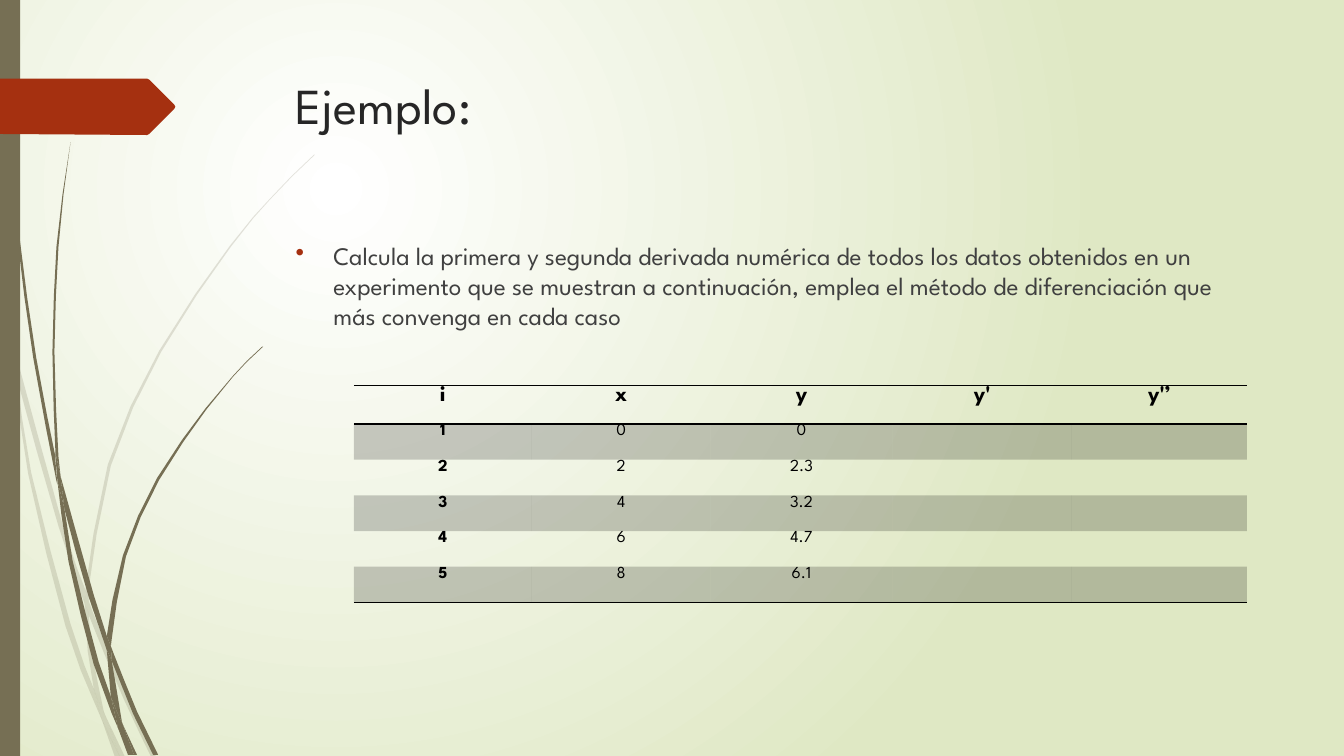
from dataclasses import dataclass
from math import dist

from lxml import etree
from pptx import Presentation
from pptx.dml.color import RGBColor
from pptx.enum.shapes import MSO_SHAPE
from pptx.enum.text import MSO_ANCHOR, PP_ALIGN
from pptx.oxml.ns import qn
from pptx.util import Pt

RECTANGLE = MSO_SHAPE.RECTANGLE
TOP = MSO_ANCHOR.TOP
LEFT, CENTER = PP_ALIGN.LEFT, PP_ALIGN.CENTER


@dataclass(frozen=True)
class Theme:
    font: str = "League Spartan"
    title_size: float = 36
    body_size: float = 18
    header_size: float = 16
    cell_size: float = 12
    title: str = "262626"
    body: str = "404040"
    ink: str = "000000"
    stalk: str = "766F54"
    accent: str = "A53010"
    glow: str = "FFFFFF"
    backdrop: str = "DFE8C4"
    tint: int = 20


THEME = Theme()
SLIDE_WIDTH, SLIDE_HEIGHT = 960, 540
GRID = 0.72  # points per unit of the outlines below
LONG_SPAN = 60  # units; longer spans get a midpoint on the curve

# Each piece of grass has an edge going out and an edge coming back.
FAINT_GRASS = [
    ([(11, 350), (9, 322), (0, 282)], [(0, 299), (10, 344)]),
    ([(14, 345), (17, 376), (58, 522), (84, 599)], [(85, 586), (62, 520), (14, 345)]),
    ([(88, 596), (88, 610), (123, 694), (150, 751)], [(155, 751), (127, 692), (92, 607)]),
    ([(119, 751), (124, 751)], [(105, 711)]),
    ([(93, 683), (70, 619), (31, 469), (17, 376), (11, 350)],
     [(11, 350), (28, 470), (65, 621), (92, 693), (101, 714), (99, 707)]),
    ([(84, 599), (87, 646), (93, 683), (96, 692), (105, 711)],
     [(103, 706), (91, 646), (88, 610), (88, 608)]),
    ([(88, 584), (110, 462), (160, 349), (229, 245), (268, 198), (290, 175), (312, 154)],
     [(312, 153), (289, 175), (268, 197), (228, 244), (158, 348), (107, 461), (85, 584),
      (85, 586), (88, 596)]),
    ([(101, 714), (114, 751)], [(119, 751)]),
    ([(88, 608), (88, 610), (88, 596)], [(85, 586), (84, 599)]),
    ([(96, 692), (93, 683), (99, 707), (101, 714), (119, 751)], [(105, 711)]),
]
DARK_GRASS = [
    ([(3, 0), (4, 48), (7, 110), (17, 233), (33, 355), (56, 477), (57, 481)],
     [(55, 457), (55, 453), (36, 355), (19, 232), (8, 109), (5, 48), (4, 0)]),
    ([(60, 472), (64, 505), (88, 592), (106, 645)], [(106, 633), (106, 631), (93, 590), (60, 472)]),
    ([(110, 641), (111, 656), (132, 708), (152, 749)], [(157, 749), (136, 706), (113, 649)]),
    ([(110, 691), (98, 657), (72, 556), (64, 505), (57, 477)],
     [(57, 477), (68, 557), (93, 659), (111, 708), (117, 722), (116, 717)]),
    ([(60, 472), (58, 453), (54, 349), (58, 245), (63, 193), (70, 141)],
     [(70, 141), (62, 193), (56, 245), (52, 349), (55, 449)]),
    ([(133, 749), (136, 749)], [(122, 719)]),
    ([(57, 477), (64, 505)], [(60, 472), (55, 449), (55, 453)]),
    ([(111, 633), (125, 552), (158, 476), (205, 406), (231, 374), (245, 359), (261, 344)],
     [(260, 344), (245, 358), (231, 373), (204, 405), (156, 474), (122, 551), (106, 631),
      (110, 641)]),
    ([(117, 722), (127, 749)], [(131, 749)]),
    ([(106, 645), (110, 691), (116, 706), (122, 719)], [(121, 716), (111, 656), (109, 651)]),
    ([(106, 645), (109, 651), (111, 656), (110, 641)], [(106, 631), (106, 633)]),
    ([(116, 706), (110, 691), (116, 717), (117, 722), (130, 749)], [(133, 749), (122, 719)]),
]
RIBBON = [(0, 0), (146, 0), (148, 1), (173, 26), (174, 28), (173, 30), (148, 55), (146, 56), (0, 55)]

INSTRUCTION = (
    "Calcula la primera y segunda derivada numérica de todos los datos obtenidos en un "
    "experimento que se muestran a continuación, emplea el método de diferenciación que "
    "más convenga en cada caso"
)
READINGS = [
    ["i", "x", "y", "y'", "y'’"],
    ["1", "0", "0", "", ""],
    ["2", "2", "2.3", "", ""],
    ["3", "4", "3.2", "", ""],
    ["4", "6", "4.7", "", ""],
    ["5", "8", "6.1", "", ""],
]
COLUMN_WIDTHS = [127.3, 127.4, 130.3, 128, 125]
HEADER_HEIGHT, ROW_HEIGHT = 27.5, 25.5
PLAIN_STYLE = "{2D5ABB26-0587-4C30-8999-92F81FD0307C}"


def add_xml(parent, tag, **attributes):
    return etree.SubElement(parent, qn(tag), attributes)


def write(frame, text, *, size, color, bold=False, align=LEFT):
    paragraph = frame.paragraphs[0]
    paragraph.alignment = align
    run = paragraph.add_run()
    run.text = text
    run.font.name = THEME.font
    run.font.size = Pt(size)
    run.font.bold = bold
    run.font.color.rgb = RGBColor.from_string(color)
    return paragraph


def paint(fill, owner, color, opacity=100):
    """Fill solidly; owner is the XML element that holds the fill."""
    fill.solid()
    fill.fore_color.rgb = RGBColor.from_string(color)
    if opacity < 100:
        add_xml(owner.find(qn("a:solidFill"))[0], "a:alpha", val=str(opacity * 1000))


def finish(shape, color, opacity=100):
    shape.shadow.inherit = False
    shape.line.fill.background()
    paint(shape.fill, shape._element.spPr, color, opacity)


def bend(edge):
    """Put a curve midpoint into each long span of the edge."""
    padded = [edge[0], *edge, edge[-1]]
    bent = [edge[0]]
    for before, start, end, after in zip(padded, padded[1:], padded[2:], padded[3:]):
        if dist(start, end) > LONG_SPAN:
            bent.append(tuple((9 * (q + r) - p - s) / 16
                              for p, q, r, s in zip(before, start, end, after)))
        bent.append(end)
    return bent


def add_outline(slide, left, top, points, color, opacity=100):
    corners = dict.fromkeys(points)
    start, *rest = [(Pt(left + x * GRID), Pt(top + y * GRID)) for x, y in corners]
    builder = slide.shapes.build_freeform(*start)
    builder.add_line_segments(rest, close=True)
    finish(builder.convert_to_shape(), color, opacity)


def add_backdrop(slide):
    fill = slide.background.fill
    fill.gradient()
    for stop, position, color in zip(fill.gradient_stops, (0, 1), (THEME.glow, THEME.backdrop)):
        stop.position = position
        stop.color.rgb = RGBColor.from_string(color)
    gradient = slide._element.find(".//" + qn("a:gradFill"))
    gradient.remove(gradient.find(qn("a:lin")))
    circle = add_xml(gradient, "a:path", path="circle")
    add_xml(circle, "a:fillToRect", l="50000", t="50000", r="100000", b="100000")


def add_grass_margin(slide, left, top, width, height):
    for pieces, opacity in ((FAINT_GRASS, THEME.tint), (DARK_GRASS, 100)):
        for out, back in pieces:
            add_outline(slide, left, top, bend(out) + bend(back), THEME.stalk, opacity)
    bar = slide.shapes.add_shape(RECTANGLE, Pt(left), Pt(top), Pt(width), Pt(height))
    finish(bar, THEME.stalk)
    add_outline(slide, left, top + 56.16, RIBBON, THEME.accent)


def add_text(slide, left, top, width, height, text, **text_format):
    frame = slide.shapes.add_textbox(Pt(left), Pt(top), Pt(width), Pt(height)).text_frame
    frame.word_wrap = True
    frame.vertical_anchor = TOP
    return write(frame, text, **text_format)


def add_instruction(slide, left, top, width, height):
    instruction = add_text(slide, left, top, width, height, INSTRUCTION,
                           size=THEME.body_size, color=THEME.body)
    instruction.space_before = Pt(10)
    properties = instruction._p.get_or_add_pPr()
    properties.set("marL", str(Pt(27)))
    properties.set("indent", str(Pt(-27)))
    add_xml(add_xml(properties, "a:buClr"), "a:srgbClr", val=THEME.accent)
    add_xml(properties, "a:buChar", char="•")


def add_rule(cell, side):
    rule = etree.Element(qn(side), w=str(Pt(1)))
    add_xml(add_xml(rule, "a:solidFill"), "a:srgbClr", val=THEME.ink)
    cell._tc.get_or_add_tcPr().insert(0, rule)


def add_readings(slide, left, top):
    heights = [HEADER_HEIGHT] + [ROW_HEIGHT] * (len(READINGS) - 1)
    table = slide.shapes.add_table(len(heights), len(COLUMN_WIDTHS), Pt(left), Pt(top),
                                   Pt(sum(COLUMN_WIDTHS)), Pt(sum(heights))).table
    table._tbl.tblPr.find(qn("a:tableStyleId")).text = PLAIN_STYLE
    for column, width in zip(table.columns, COLUMN_WIDTHS):
        column.width = Pt(width)
    for r, (values, height) in enumerate(zip(READINGS, heights)):
        table.rows[r].height = Pt(height)
        for c, value in enumerate(values):
            cell = table.cell(r, c)
            cell.margin_left = cell.margin_right = Pt(5)
            cell.margin_top = cell.margin_bottom = 0
            if value:
                write(cell.text_frame, value, color=THEME.ink, align=CENTER, bold=r == 0 or c == 0,
                      size=THEME.cell_size if r else THEME.header_size)
            if r % 2:
                paint(cell.fill, cell._tc.get_or_add_tcPr(), THEME.ink, THEME.tint)
            else:
                cell.fill.background()
            if r in (0, len(READINGS) - 1):
                add_rule(cell, "a:lnB")
            if r == 0:
                add_rule(cell, "a:lnT")


def main():
    presentation = Presentation()
    presentation.slide_width, presentation.slide_height = Pt(SLIDE_WIDTH), Pt(SLIDE_HEIGHT)
    slide = presentation.slides.add_slide(presentation.slide_layouts[6])
    add_backdrop(slide)
    add_grass_margin(slide, 0, 0, 14.4, SLIDE_HEIGHT)
    add_text(slide, 204, 49.6, 702, 101, "Ejemplo:", size=THEME.title_size, color=THEME.title)
    add_instruction(slide, 204, 168, 702, 297)
    add_readings(slide, 252.7, 275.4)
    presentation.save("out.pptx")


if __name__ == "__main__":
    main()
